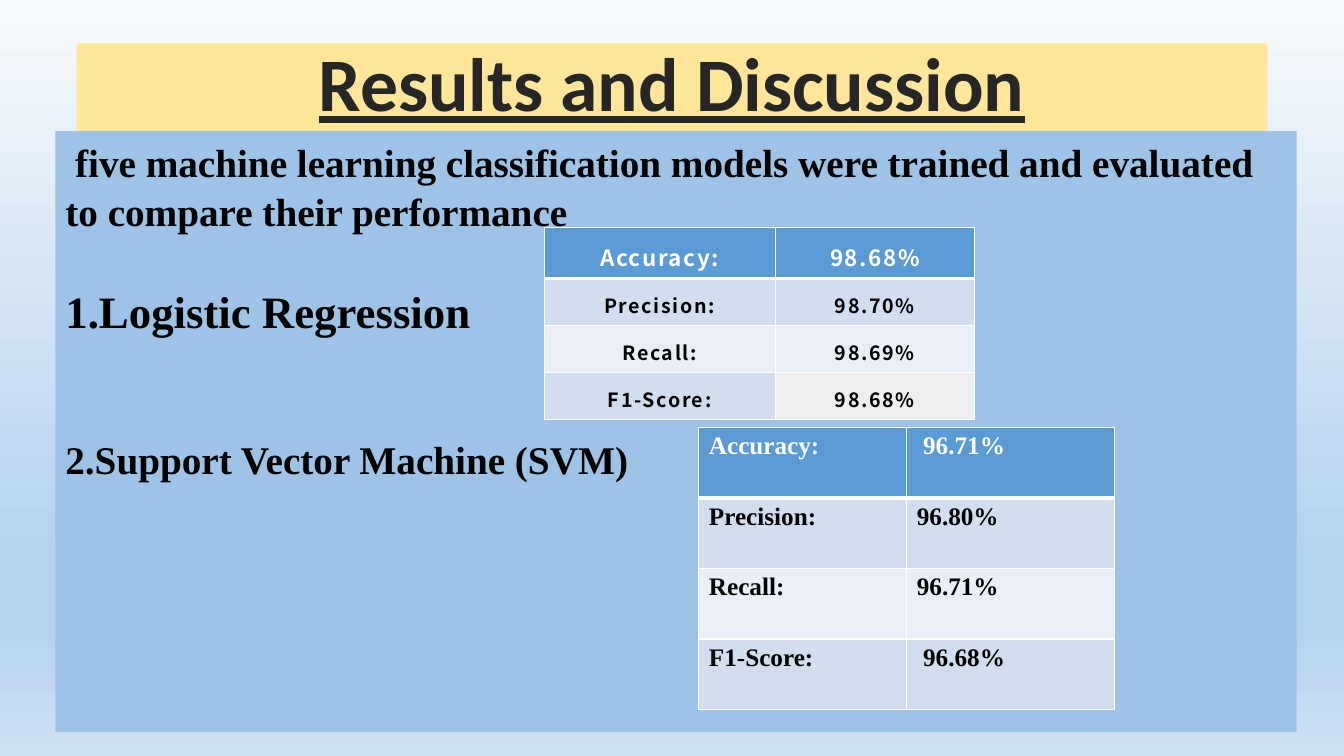
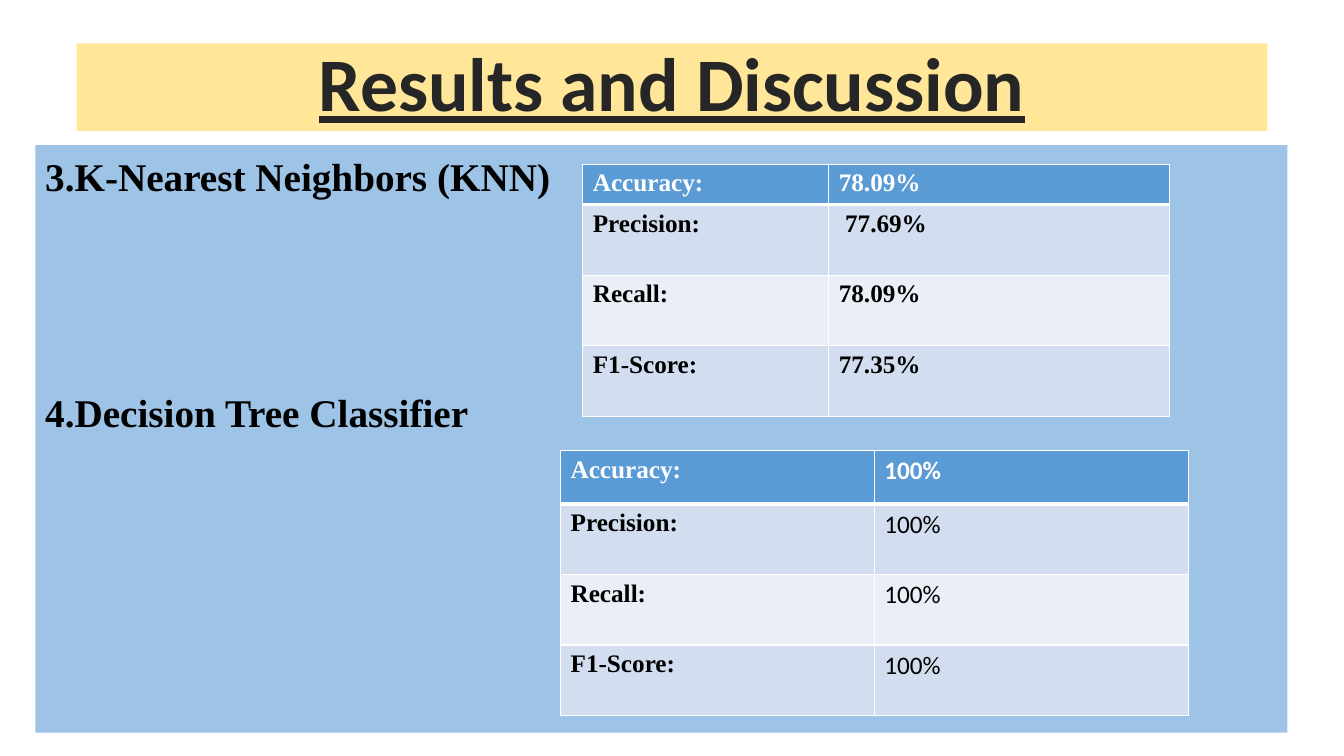
"""Builds two slides that compare the scores of classification models."""
from dataclasses import dataclass, replace

from lxml.etree import SubElement
from pptx import Presentation
from pptx.dml.color import RGBColor
from pptx.enum.shapes import MSO_SHAPE
from pptx.enum.text import MSO_ANCHOR, PP_ALIGN
from pptx.oxml.ns import qn
from pptx.util import Emu, Inches, Pt


@dataclass(frozen=True)
class Theme:
    band: str = "FFE699"
    panel: str = "9DC3E6"
    title_ink: str = "262626"
    ink: str = "000000"
    white: str = "FFFFFF"
    header: str = "5B9BD5"
    stripes: tuple = ("EAEFF7", "D2DEEF")
    muted: str = "EEEEEE"
    sky: tuple = ((0, "F7FAFD"), (74, "B5D2EC"), (83, "B5D2EC"), (100, "CEE1F2"))
    sans: str = "Calibri"
    serif: str = "Times New Roman"
    title_size: int = 54
    body_size: int = 28
    lead_size: int = 32
    score_size: int = 18
    rule: int = 1
    header_rule: int = 3


@dataclass(frozen=True)
class ScoreStyle:
    label_font: str = Theme.serif
    value_font: str = Theme.serif
    header_size: int = Theme.score_size
    size: int = Theme.score_size
    bold_values: bool = True
    spaced: bool = False
    last_fill: str = Theme.stripes[1]


METRICS = ("Accuracy:", "Precision:", "Recall:", "F1-Score:")


class Deck:
    def __init__(self, theme):
        self.theme = theme
        self.prs = Presentation()
        self.prs.slide_width, self.prs.slide_height = Inches(13.33), Inches(7.5)
        self.slide = None

    def across(self, percent):
        return Emu(round(self.prs.slide_width * percent / 100))

    def down(self, percent):
        return Emu(round(self.prs.slide_height * percent / 100))

    def new_slide(self, heading):
        self.slide = self.prs.slides.add_slide(self.prs.slide_layouts[6])
        t = self.theme
        frame = self.block((5.7, 5.73, 88.6, 11.6), t.band, MSO_ANCHOR.MIDDLE)
        line = frame.paragraphs[0]
        line.alignment, line.line_spacing = PP_ALIGN.CENTER, 0.9
        self.run(line, heading, t.sans, t.title_size, t.title_ink).font.underline = True

    def sky(self):
        fill = self.slide.background.fill
        fill.gradient()
        fill.gradient_angle = 270
        stops = self.slide.element.find(".//" + qn("a:gsLst"))
        stops.clear()
        for position, colour in self.theme.sky:
            stop = SubElement(stops, qn("a:gs"), pos=str(position * 1000))
            SubElement(stop, qn("a:srgbClr"), val=colour)

    def block(self, area, colour, anchor):
        left, top, width, height = area
        block = self.slide.shapes.add_shape(
            MSO_SHAPE.RECTANGLE, self.across(left), self.down(top),
            self.across(width), self.down(height))
        block.shadow.inherit = False
        block.fill.solid()
        block.fill.fore_color.rgb = RGBColor.from_string(colour)
        block.line.fill.background()
        block.text_frame.word_wrap = True
        block.text_frame.vertical_anchor = anchor
        return block.text_frame

    def run(self, paragraph, words, font, size, colour, bold=True):
        run = paragraph.add_run()
        run.text = words
        run.font.name, run.font.size, run.font.bold = font, Pt(size), bold
        run.font.color.rgb = RGBColor.from_string(colour)
        return run

    def panel(self, area, entries):
        t = self.theme
        frame = self.block(area, t.panel, MSO_ANCHOR.TOP)
        for index, (words, size, gap) in enumerate(entries):
            line = frame.add_paragraph() if index else frame.paragraphs[0]
            line.alignment, line.line_spacing = PP_ALIGN.LEFT, 1.05
            if gap:
                line.space_before = Pt(gap)
            self.run(line, words, t.serif, size, t.ink)

    def scores(self, corner, columns, header_row, row, values, style):
        t = self.theme
        heights = [header_row] + [row] * (len(values) - 1)
        table = self.slide.shapes.add_table(
            len(values), len(columns), self.across(corner[0]), self.down(corner[1]),
            self.across(sum(columns)), self.down(sum(heights))).table
        table.horz_banding = False
        for column, width in zip(table.columns, columns):
            column.width = self.across(width)
        for index, (metric, value, height) in enumerate(zip(METRICS, values, heights)):
            table.rows[index].height = self.down(height)
            fill = t.stripes[index % 2] if index else t.header
            last = index == len(values) - 1
            ink = t.ink if index else t.white
            size = style.size if index else style.header_size
            label, score = table.rows[index].cells
            self.cell(label, index, fill, style)
            self.cell(score, index, style.last_fill if last else fill, style)
            runs = (
                self.run(label.text_frame.paragraphs[0], metric,
                         style.label_font, size, ink),
                self.run(score.text_frame.paragraphs[0], value, style.value_font,
                         size, ink, style.bold_values or index == 0))
            if style.spaced:
                for run in runs:
                    run.font._element.set("spc", "120")

    def cell(self, cell, index, fill, style):
        t = self.theme
        top = t.header_rule if index == 1 else t.rule
        bottom = t.header_rule if index == 0 else t.rule
        properties = cell._tc.get_or_add_tcPr()
        for side, weight in (("L", t.rule), ("R", t.rule), ("T", top), ("B", bottom)):
            edge = SubElement(properties, qn("a:ln" + side), w=str(Pt(weight)))
            SubElement(SubElement(edge, qn("a:solidFill")), qn("a:srgbClr"), val=t.white)
        cell.fill.solid()
        cell.fill.fore_color.rgb = RGBColor.from_string(fill)
        if style.spaced:
            cell.margin_left = cell.margin_right = Inches(0.19)
            cell.margin_top = cell.margin_bottom = Inches(0.06)
            cell.vertical_anchor = MSO_ANCHOR.MIDDLE
            line = cell.text_frame.paragraphs[0]
            line.alignment, line.line_spacing = PP_ALIGN.CENTER, 1.2


def main():
    theme = Theme()
    deck = Deck(theme)
    heading = "Results and Discussion"
    plain = ScoreStyle()
    spaced = ScoreStyle("Noto Sans CJK SC", "Noto Sans CJK SC", 16, 14,
                        spaced=True, last_fill=theme.muted)
    light = replace(plain, value_font=theme.sans, bold_values=False)
    tall = 9.33

    deck.new_slide(heading)
    deck.sky()
    deck.panel((4.13, 17.33, 92.35, 79.47), (
        (" five machine learning classification models were trained and evaluated"
         " to compare their performance", theme.body_size, 0),
        ("1.Logistic Regression", theme.lead_size, 33),
        ("2.Support Vector Machine (SVM)", theme.body_size, 68)))
    deck.scores((40.5, 30.13), (17.18, 14.85), 6.7, 6.2,
                ("98.68%", "98.70%", "98.69%", "98.68%"), spaced)
    deck.scores((52, 56.53), (15.47, 15.47), tall, tall,
                (" 96.71%", "96.80%", "96.71%", " 96.68%"), plain)

    deck.new_slide(heading)
    deck.panel((2.63, 19.2, 93.17, 77.73), (
        ("3.K-Nearest Neighbors (KNN)", theme.body_size, 0),
        ("4.Decision Tree Classifier", theme.body_size, 133)))
    deck.scores((43.36, 21.73), (18.3, 25.36), 5.33, tall,
                ("78.09%", " 77.69%", "78.09%", "77.35%"), plain)
    deck.scores((41.71, 59.6), (23.35, 23.35), 7.07, tall, ("100%",) * 4, light)

    deck.prs.save("out.pptx")


if __name__ == "__main__":
    main()
